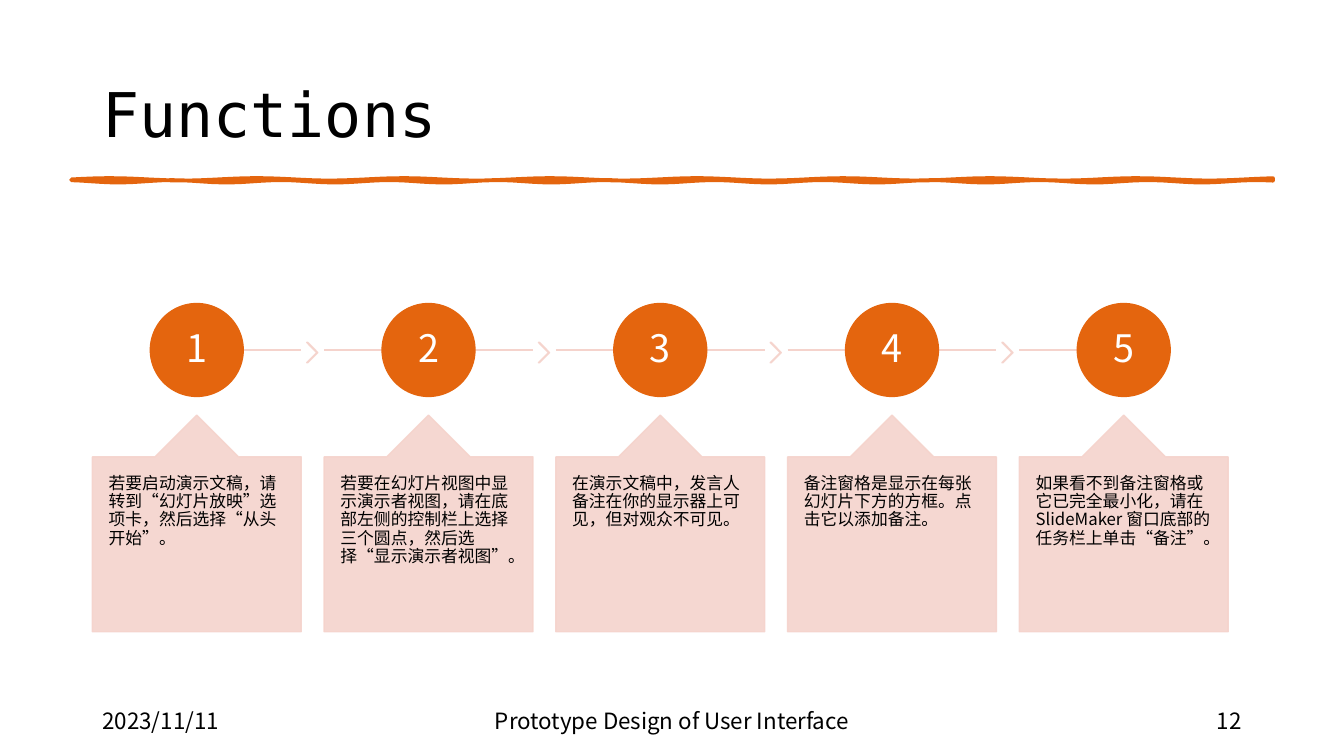
import math

from lxml import etree
from pptx import Presentation
from pptx.dml.color import RGBColor
from pptx.enum import shapes, text
from pptx.oxml import ns
from pptx.util import Cm, Pt

ORANGE = RGBColor(0xE4, 0x65, 0x0E)
PINK = RGBColor(0xF5, 0xD3, 0xCC)
BLACK = RGBColor(0, 0, 0)
WHITE = RGBColor(0xFF, 0xFF, 0xFF)
BODY_FONT = "Noto Sans CJK SC"
TITLE_FONT = "DejaVu Sans Mono"
LEFT, MIDDLE = text.PP_ALIGN.LEFT, text.MSO_ANCHOR.MIDDLE
CENTER, RIGHT = text.PP_ALIGN.CENTER, text.PP_ALIGN.RIGHT

# Column geometry in centimetres
FIRST_LEFT, STEP, CARD_WIDTH = 2.33, 5.84, 5.26
CIRCLE, CIRCLE_TOP = 2.34, 7.65
TRACK_Y = CIRCLE_TOP + CIRCLE / 2

STEPS = [
    "若要启动演示文稿，请转到“幻灯片放映”选项卡，然后选择“从头开始”。",
    "若要在幻灯片视图中显示演示者视图，请在底部左侧的控制栏上选择三个圆点，然后选择“显示演示者视图”。",
    "在演示文稿中，发言人备注在你的显示器上可见，但对观众不可见。",
    "备注窗格是显示在每张幻灯片下方的方框。点击它以添加备注。",
    "如果看不到备注窗格或它已完全最小化，请在 SlideMaker 窗口底部的任务栏上单击“备注”。",
]


def write(frame, words, size, color=BLACK, align=LEFT, anchor=MIDDLE, font=BODY_FONT):
    frame.text = words
    frame.word_wrap = True
    frame.vertical_anchor = anchor
    paragraph = frame.paragraphs[0]
    paragraph.alignment = align
    run = paragraph.runs[0]
    run.font.size = Pt(size)
    run.font.name = font
    run.font.color.rgb = color
    properties = run._r.get_or_add_rPr()
    properties.set("lang", "zh-CN")
    etree.SubElement(properties, ns.qn("a:ea"), typeface=font)
    return paragraph


def set_insets(frame, across, down):
    frame.margin_left = frame.margin_right = Cm(across)
    frame.margin_top = frame.margin_bottom = Cm(down)


def paint(shape, color, width=1, alpha=None):
    shape.shadow.inherit = False
    shape.fill.solid()
    shape.fill.fore_color.rgb = color
    shape.line.color.rgb = color
    shape.line.width = Pt(width)
    if alpha:
        for tint in shape._element.spPr.iter(ns.qn("a:srgbClr")):
            etree.SubElement(tint, ns.qn("a:alpha"), val=str(alpha * 1000))


def add_preset(slide, kind, left, top, width, height, color, alpha=None, adjust=()):
    shape = slide.shapes.add_shape(kind, Cm(left), Cm(top), Cm(width), Cm(height))
    for index, value in enumerate(adjust):
        shape.adjustments[index] = value
    paint(shape, color, alpha=alpha)
    return shape


def add_title(slide, words):
    title = slide.shapes.title
    title.left, title.top, title.width, title.height = Cm(2.33), Cm(1.01), Cm(29.21), Cm(3.68)
    write(title.text_frame, words, 44, font=TITLE_FONT)


def add_brush_rule(slide):
    left, width, count = 1.8, 30.28, 120
    across = [left + width * i / count for i in range(count + 1)]
    upper = [(x, 4.52 + 0.03 * math.sin(1.7 * x)) for x in across]
    lower = [(x, 4.57 + 0.03 * math.sin(2.3 * x + 1)) for x in reversed(across)]
    outline = [(Cm(x), Cm(y)) for x, y in upper + lower]
    builder = slide.shapes.build_freeform(*outline[0])
    builder.add_line_segments(outline[1:], close=True)
    rule = builder.convert_to_shape()
    paint(rule, ORANGE, 2.75)
    etree.SubElement(rule.line._get_or_add_ln(), ns.qn("a:round"))


def add_track(slide, start, end):
    track = slide.shapes.add_connector(
        shapes.MSO_CONNECTOR.STRAIGHT, Cm(start), Cm(TRACK_Y), Cm(end), Cm(TRACK_Y))
    track.line.color.rgb = PINK
    track.line.width = Pt(1)
    etree.SubElement(track._element.spPr, ns.qn("a:effectLst"))


def add_step(slide, index, words):
    left = FIRST_LEFT + STEP * index
    middle = left + CARD_WIDTH / 2
    is_last = index == len(STEPS) - 1

    # Track and chevron towards the next step
    add_track(slide, left if index else middle, middle if is_last else left + CARD_WIDTH)
    if not is_last:
        add_preset(slide, shapes.MSO_SHAPE.CHEVRON, left + 5.4, 8.63, 0.28, 0.51,
                   PINK, 90, [0.9])

    # Numbered circle
    circle = add_preset(slide, shapes.MSO_SHAPE.OVAL, middle - CIRCLE / 2, CIRCLE_TOP,
                        CIRCLE, CIRCLE, ORANGE)
    set_insets(circle.text_frame, 0.1, 0.1)
    number = write(circle.text_frame, str(index + 1), 27, WHITE, CENTER)
    number.line_spacing = 0.9

    # Callout card
    card = add_preset(slide, shapes.MSO_SHAPE.UP_ARROW_CALLOUT, left, 10.46, CARD_WIDTH, 5.46,
                      PINK, 90, [0.5, 0.2, 0.2, 1])
    set_insets(card.text_frame, 0.41, 0.46)
    advice = write(card.text_frame, words, 12, anchor=text.MSO_ANCHOR.TOP)
    advice.line_spacing = 0.9


def add_footer(slide, left, width, words, align):
    box = slide.shapes.add_textbox(Cm(left), Cm(17.65), Cm(width), Cm(1.02))
    write(box.text_frame, words, 16, align=align)


def main():
    deck = Presentation()
    deck.slide_width, deck.slide_height = Cm(33.87), Cm(19.05)
    slide = deck.slides.add_slide(deck.slide_layouts[5])

    # Heading
    add_brush_rule(slide)
    add_title(slide, "Functions")

    # Process
    for index, words in enumerate(STEPS):
        add_step(slide, index, words)

    # Footer
    add_footer(slide, 2.33, 7.62, "2023/11/11", LEFT)
    add_footer(slide, 11.22, 11.43, "Prototype Design of User Interface", CENTER)
    add_footer(slide, 23.92, 7.62, "12", RIGHT)

    deck.save("out.pptx")


if __name__ == "__main__":
    main()
